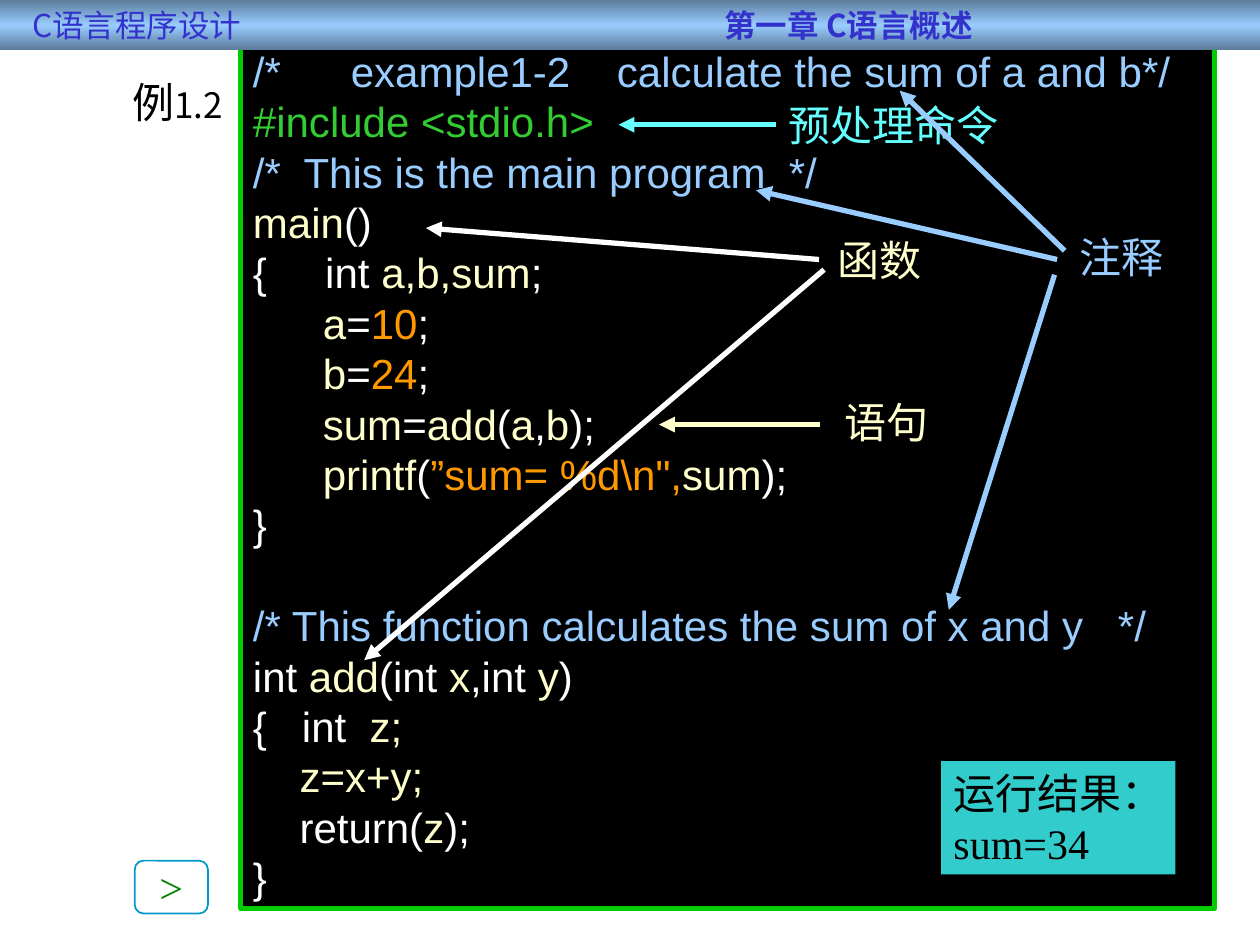
from copy import deepcopy

from lxml.etree import SubElement
from pptx import Presentation
from pptx.dml.color import RGBColor
from pptx.enum.shapes import MSO_CONNECTOR, MSO_SHAPE
from pptx.enum.text import MSO_ANCHOR, MSO_AUTO_SIZE, PP_ALIGN
from pptx.oxml.ns import qn
from pptx.util import Pt

BLACK, WHITE, CREAM = "000000", "FFFFFF", "FFFFCC"
SKY, GREEN, ORANGE, CYAN = "99CCFF", "33CC33", "FF9900", "66FFFF"
SANS, SERIF, HAN = "Arial", "Times New Roman", "Noto Sans CJK SC"


def color(text):
    return RGBColor.from_string(text)


class Deck:
    size = 24
    weight = 3

    def __init__(self):
        self.file = Presentation()
        self.file.slide_width, self.file.slide_height = Pt(720), Pt(540)
        self.slide = self.file.slides.add_slide(self.file.slide_layouts[5])
        self.shapes = self.slide.shapes

    def frame(self, shape, wrap=True, anchor=MSO_ANCHOR.MIDDLE):
        frame = shape.text_frame
        frame.auto_size = MSO_AUTO_SIZE.NONE
        frame.word_wrap = wrap
        frame.vertical_anchor = anchor
        return frame

    def run(self, para, text, tint, font=SERIF, size=None, bold=False):
        run = para.add_run()
        run.text = text
        run.font.name = font
        run.font.size = Pt(size or self.size)
        run.font.bold = bold
        run.font.color.rgb = color(tint)
        SubElement(run.font._element, qn("a:ea")).set("typeface", HAN)

    def lines(self, frame, rows, font=SERIF, align=PP_ALIGN.LEFT):
        """Fill a frame with rows of (text, tint) runs."""
        for num, row in enumerate(rows):
            para = frame.add_paragraph() if num else frame.paragraphs[0]
            para.alignment = align
            for text, tint in row:
                self.run(para, text, tint, font)

    def title(self, box, parts):
        shape = self.shapes.title
        shape.left, shape.top, shape.width, shape.height = map(Pt, box)
        para = self.frame(shape, anchor=MSO_ANCHOR.TOP).paragraphs[0]
        para.alignment = PP_ALIGN.LEFT
        for text, size in parts:
            self.run(para, text, BLACK, HAN, size)

    def panel(self, box, fill=None, edge=None, width=3, kind=MSO_SHAPE.RECTANGLE):
        shape = self.shapes.add_shape(kind, *map(Pt, box))
        shape.shadow.inherit = False
        if fill:
            shape.fill.solid()
            shape.fill.fore_color.rgb = color(fill)
        else:
            shape.fill.background()
        if edge:
            shape.line.color.rgb = color(edge)
            shape.line.width = Pt(width)
        else:
            shape.line.fill.background()
        return shape

    def blend(self, shape, stops):
        """Vertical gradient of three evenly spaced stops."""
        shape.fill.gradient()
        shape.fill.gradient_angle = 270
        first = shape.element.find(".//" + qn("a:gs"))
        first.addnext(deepcopy(first))
        for num, (stop, tint) in enumerate(zip(shape.fill.gradient_stops, stops)):
            stop.color.rgb = color(tint)
            stop.position = num / 2

    def label(self, box, text, tint):
        shape = self.shapes.add_textbox(*map(Pt, box))
        self.lines(self.frame(shape, False), [[(text, tint)]], align=PP_ALIGN.CENTER)
        return shape

    def arrow(self, start, end, tint, source=None):
        line = self.shapes.add_connector(
            MSO_CONNECTOR.STRAIGHT, *map(Pt, (*start, *end)))
        if source is not None:
            line.begin_connect(source, 1)
        line.line.color.rgb = color(tint)
        line.line.width = Pt(self.weight)
        SubElement(line.line._get_or_add_ln(), qn("a:tailEnd")).set("type", "triangle")
        SubElement(line.element.spPr, qn("a:effectLst"))


CODE = [
    [("/*      example1-2    calculate the sum of a and b*/", SKY)],
    [("#include <stdio.h>", GREEN)],
    [("/*  This is the main program  */", SKY)],
    [("main", CREAM), ("()", WHITE)],
    [("{     int ", WHITE), ("a,b,sum", CREAM), (";", WHITE)],
    [("      a", CREAM), ("=", WHITE), ("10", ORANGE), (";", WHITE)],
    [("      b", CREAM), ("=", WHITE), ("24", ORANGE), (";", WHITE)],
    [("      sum", CREAM), ("=", WHITE), ("add", CREAM), ("(", WHITE),
     ("a", CREAM), (",", WHITE), ("b", CREAM), (");", WHITE)],
    [("      printf", CREAM), ("(", WHITE), ("”sum= %d\\n\",", ORANGE),
     ("sum", CREAM), (");", WHITE)],
    [("}", WHITE)],
    [("/* This function calculates the sum of x and y   */", SKY)],
    [("int ", WHITE), ("add", CREAM), ("(int ", WHITE), ("x", CREAM),
     (",int ", WHITE), ("y", CREAM), (")", WHITE)],
    [("{   int ", WHITE), (" z;", CREAM)],
    [("    z=x+y;", CREAM)],
    [("    return(", WHITE), ("z", CREAM), (");", WHITE)],
    [("}", WHITE)],
]
SECOND = 10  # row where the second function starts
PITCH = 28.8


def main():
    deck = Deck()

    # Example number
    deck.title((68.4, 40.3, 100, 64.8), [("例", 24), ("1.2", 20)])

    # Program listing
    shape = deck.panel((137.5, 22.3, 556.6, 496.8), BLACK, "00CC00")
    frame = deck.frame(shape)
    deck.lines(frame, CODE, SANS)
    for para in frame.paragraphs:
        para.line_spacing = Pt(PITCH)
    frame.paragraphs[SECOND].space_before = Pt(PITCH)

    # Program output
    shape = deck.panel((537.8, 434.9, 133.9, 64.8), "33CCCC")
    deck.lines(deck.frame(shape, False),
               [[("运行结果：", BLACK)], [("sum=34", BLACK)]])

    # Functions
    deck.arrow((468, 148.3), (243.4, 130.3), WHITE)
    deck.arrow((470.9, 154.1), (208.1, 377.3), WHITE)
    deck.label((471.6, 130.3, 61.9, 36), "函数", CREAM)

    # Statement
    deck.arrow((468.7, 242.6), (376.6, 242.6), CREAM)
    deck.label((475.9, 223.2, 61.9, 36), "语句", CREAM)

    # Preprocessor command
    note = deck.label((443.5, 53.3, 133.9, 36), "预处理命令", CYAN)
    deck.arrow((443.5, 71.3), (353.5, 71.3), CYAN, note)

    # Comments
    deck.label((609.8, 128.9, 61.9, 36), "注释", SKY)
    for start, end in [((608.4, 143.3), (514.1, 51.8)),
                       ((604.1, 148.3), (432, 108.7)),
                       ((602.6, 157), (542.2, 348.5))]:
        deck.arrow(start, end, SKY)

    # Header band
    band = deck.panel((0, 0, 720, 28.8))
    deck.blend(band, ["5C7B9A", SKY, "5C7B9A"])
    frame = deck.frame(band)
    frame.margin_left = Pt(18.5)
    para = frame.paragraphs[0]
    para.alignment = PP_ALIGN.LEFT
    tabs = SubElement(para._p.get_or_add_pPr(), qn("a:tabLst"))
    tab = SubElement(tabs, qn("a:tab"))
    tab.set("pos", str(Pt(395.5)))
    tab.set("algn", "l")
    deck.run(para, "C语言程序设计\t", "3333CC", HAN, 18)
    deck.run(para, "第一章 C语言概述", "3333CC", HAN, 18, True)

    # Next button
    shape = deck.panel((77, 491.8, 41.8, 30.2), edge="0099CC", width=1,
                       kind=MSO_SHAPE.ROUNDED_RECTANGLE)
    deck.lines(deck.frame(shape, False), [[(">", "008000")]], align=PP_ALIGN.CENTER)

    deck.file.save("out.pptx")


if __name__ == "__main__":
    main()
